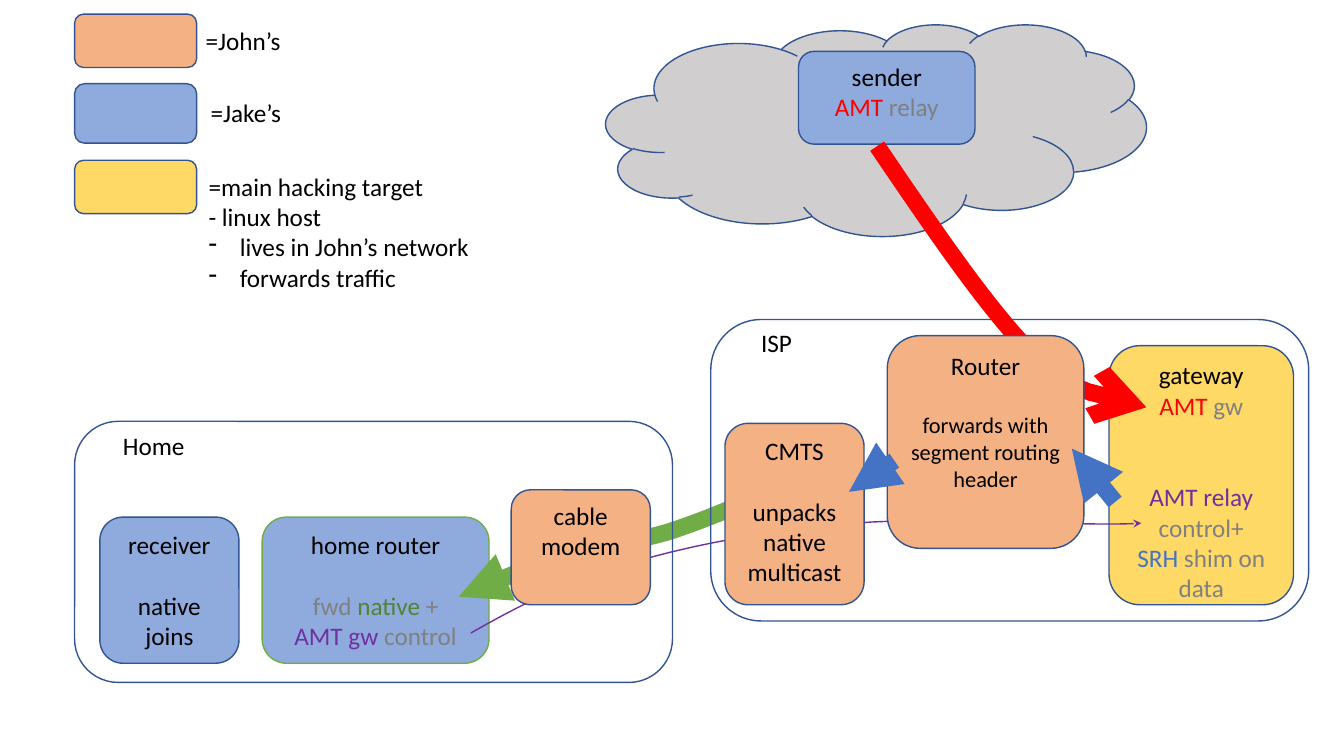
import pptx
import pptx.util
import pptx.dml.color
import pptx.enum.shapes
import pptx.enum.text
import pptx.oxml
import pptx.oxml.ns
from lxml import etree

Inches, Pt = pptx.util.Inches, pptx.util.Pt
RGB = pptx.dml.color.RGBColor
MSO = pptx.enum.shapes.MSO_SHAPE
ALIGN = pptx.enum.text.PP_ALIGN

BLACK, RED, GRAY = RGB(0, 0, 0), RGB(255, 0, 0), RGB(0x80, 0x80, 0x80)
PURPLE, BLUE = RGB(0x70, 0x30, 0xA0), RGB(0x44, 0x72, 0xC4)
GREEN, DARK_GREEN = RGB(0x70, 0xAD, 0x47), RGB(0x54, 0x82, 0x35)
NAVY, CLOUD = RGB(0x32, 0x54, 0x91), RGB(0xD0, 0xCE, 0xCE)
JOHN, JAKE = RGB(0xF4, 0xB1, 0x83), RGB(0x8F, 0xAA, 0xDC)
TARGET = RGB(0xFF, 0xD9, 0x66)

# Content: a line is a string or a list of (text, colour) runs;
# a number asks for that many lines of space before the next line
GATEWAY = ["gateway", [("AMT ", RED), ("gw", GRAY)], 2,
           [("AMT relay", PURPLE)], [("control+", GRAY)],
           [("SRH ", BLUE), ("shim on", GRAY)], [("data", GRAY)]]
HOME_ROUTER = ["home router", 1,
               [("fwd ", GRAY), ("native ", DARK_GREEN), ("+", GRAY)],
               [("AMT gw ", PURPLE), ("control", GRAY)]]
SENDER = ["sender", [("AMT", RED), (" relay", GRAY)]]
RECEIVER = ["receiver", 1, "native joins"]
CMTS = ["CMTS", 1, "unpacks", "native", "multicast"]
ROUTER = ["Router", 1, "forwards with segment routing header"]

# Legend: box top, box height, fill, label place, label lines, bullets
LEGEND = [
    (0.14, 0.53, JOHN, (1.94, 0.2, 0.95, 0.4), ["=John’s"], []),
    (0.83, 0.59, JAKE, (1.99, 0.92, 0.91, 0.4), ["=Jake’s"], []),
    (1.59, 0.53, TARGET, (1.97, 1.65, 3.09, 1.31),
     ["=main hacking target", "- linux host"],
     ["lives in John’s network", "forwards traffic"]),
]

# Curves: start point, then Bezier triples
DATA_PATH = [(7.67, 4.86), (7.32, 5.02), (6.96, 5.17), (6.62, 5.28),
             (6.28, 5.38), (5.96, 5.4), (5.62, 5.51),
             (5.27, 5.61), (4.7, 5.86), (4.55, 5.92)]
CONTROL_PATH = [(4.67, 6.28), (5.13, 6.02), (5.6, 5.77), (6.24, 5.59),
                (6.87, 5.4), (7.64, 5.26), (8.48, 5.19),
                (9.33, 5.12), (10.8, 5.23), (11.32, 5.19)]
TUNNEL_PATH = [(8.7, 1.45), (9.27, 2.29), (9.84, 3.13), (10.29, 3.56),
               (10.73, 3.99), (11.17, 3.95), (11.37, 4.04)]

prs = pptx.Presentation()
prs.slide_width, prs.slide_height = Inches(13.33), Inches(7.5)
s = prs.slides.add_slide(prs.slide_layouts[6])


def write(tf, lines, bullets=(), align=ALIGN.LEFT, size=18, last_size=None):
    gap, first = 0, True
    items = [(line, False) for line in lines] + [(b, True) for b in bullets]
    for i, (line, bullet) in enumerate(items):
        if isinstance(line, int):
            gap = line
            continue
        p = tf.paragraphs[0] if first else tf.add_paragraph()
        first = False
        p.alignment = align
        p.space_before, gap = Pt(gap * 22), 0
        runs = [(line, BLACK)] if isinstance(line, str) else line
        for text, color in runs:
            r = p.add_run()
            r.text = text
            r.font.name, r.font.color.rgb = "Calibri", color
            r.font.size = Pt(last_size if last_size and i == len(items) - 1 else size)
        if bullet:
            pPr = p._p.get_or_add_pPr()
            pPr.set("marL", str(Inches(0.31)))
            pPr.set("indent", str(Inches(-0.31)))
            etree.SubElement(pPr, pptx.oxml.ns.qn("a:buChar")).set("char", "-")


def box(at, fill=None, lines=(), kind=MSO.ROUNDED_RECTANGLE, line=NAVY, **fmt):
    sp = s.shapes.add_shape(kind, *map(Inches, at))
    sp.shadow.inherit = False
    if fill is None:
        sp.fill.background()
    else:
        sp.fill.solid()
        sp.fill.fore_color.rgb = fill
    sp.line.color.rgb, sp.line.width = line, Pt(1)
    if lines:
        sp.text_frame.vertical_anchor = pptx.enum.text.MSO_ANCHOR.TOP
        write(sp.text_frame, lines, align=ALIGN.CENTER, **fmt)


def label(at, lines, bullets=()):
    tf = s.shapes.add_textbox(*map(Inches, at)).text_frame
    tf.word_wrap = bool(bullets)
    write(tf, lines, bullets)


def style_arrow(sp, color, width, head):
    sp.line.color.rgb, sp.line.width = color, Pt(width)
    ln = sp.line._get_or_add_ln()
    etree.SubElement(ln, pptx.oxml.ns.qn("a:round"))
    etree.SubElement(ln, pptx.oxml.ns.qn("a:tailEnd")).set("type", head)


def curve(points, color, width, head, steps=16):
    path = []
    for k in range(0, len(points) - 1, 3):
        for n in range(1, steps + 1):
            t = n / steps
            weights = ((1 - t) ** 3, 3 * t * (1 - t) ** 2, 3 * t * t * (1 - t), t ** 3)
            path.append(tuple(
                Inches(sum(w * pt[axis] for w, pt in zip(weights, points[k:k + 4])))
                for axis in (0, 1)))
    fb = s.shapes.build_freeform(*map(Inches, points[0]))
    fb.add_line_segments(path, close=False)
    sp = fb.convert_to_shape()
    sp.shadow.inherit = False
    sp.fill.background()
    style_arrow(sp, color, width, head)


def arrow(start, end):
    cx = s.shapes.add_connector(pptx.enum.shapes.MSO_CONNECTOR.STRAIGHT,
                                *map(Inches, start + end))
    style_arrow(cx, BLUE, 12, "triangle")
    etree.SubElement(cx._element.spPr, pptx.oxml.ns.qn("a:effectLst"))


# Gateway, home router and the paths that run behind the other boxes
box((11, 3.43, 1.83, 2.57), TARGET, GATEWAY)
box((2.6, 5.13, 2.25, 1.45), JAKE, HOME_ROUTER, line=GREEN)
curve(DATA_PATH, GREEN, 12, "triangle")
box((6.01, 0.24, 5.36, 2.1), CLOUD, kind=MSO.CLOUD)
curve(CONTROL_PATH, PURPLE, 1, "stealth")

# Home network
box((0.74, 4.18, 5.93, 2.59))
label((1.12, 4.22, 0.82, 0.4), ["Home"])
box((0.99, 5.13, 1.38, 1.45), JAKE, RECEIVER)
box((5.07, 4.86, 1.38, 1.14), JOHN, ["cable modem"])

# ISP network and sender
box((7.05, 3.17, 5.93, 2.99))
label((7.45, 3.2, 0.51, 0.4), ["ISP"])
box((7.19, 4.2, 1.38, 1.8), JOHN, CMTS)
box((7.92, 0.51, 1.75, 0.92), JAKE, SENDER)
curve(TUNNEL_PATH, RED, 12, "arrow")
box((8.8, 3.33, 1.95, 2.11), JOHN, ROUTER, last_size=16)
arrow((11.06, 4.98), (10.63, 4.45))
arrow((8.87, 4.57), (8.42, 4.88))

# Legend
for top, height, fill, place, lines, bullets in LEGEND:
    box((0.74, top, 1.21, height), fill)
    label(place, lines, bullets)

prs.save("out.pptx")
